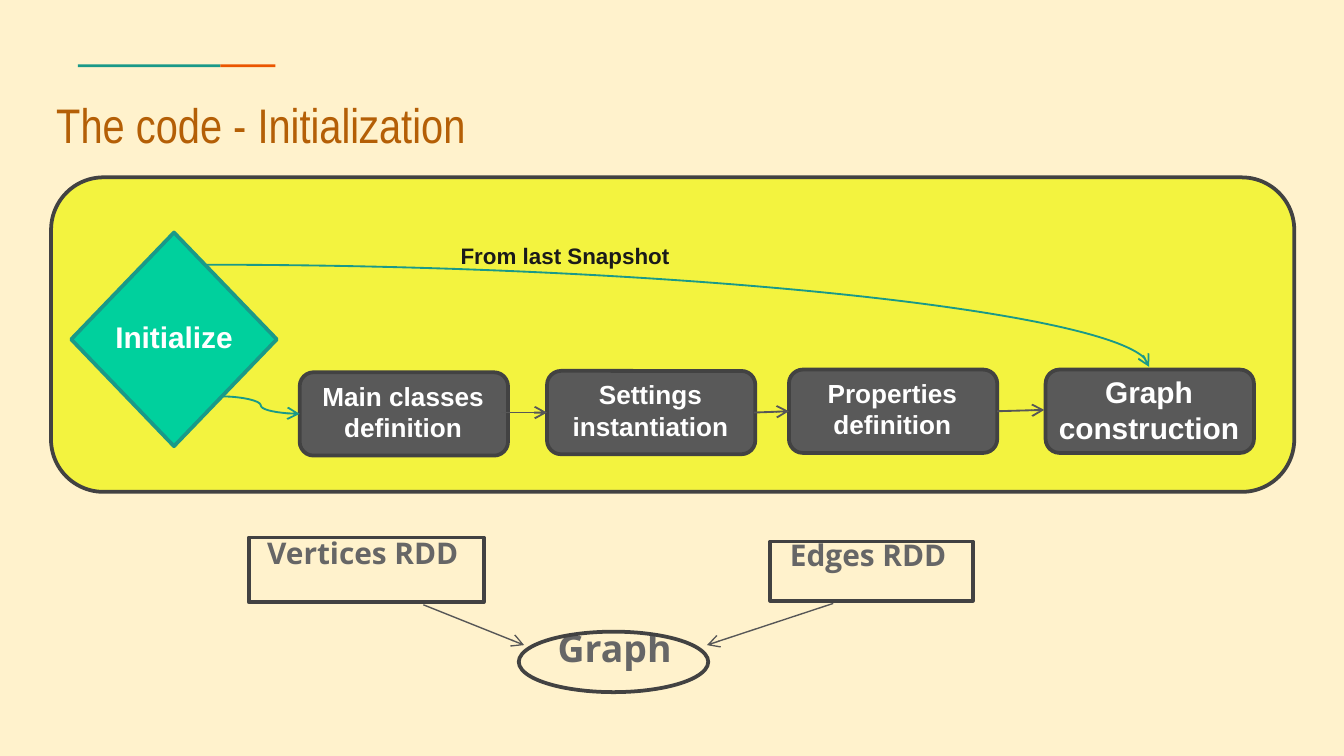
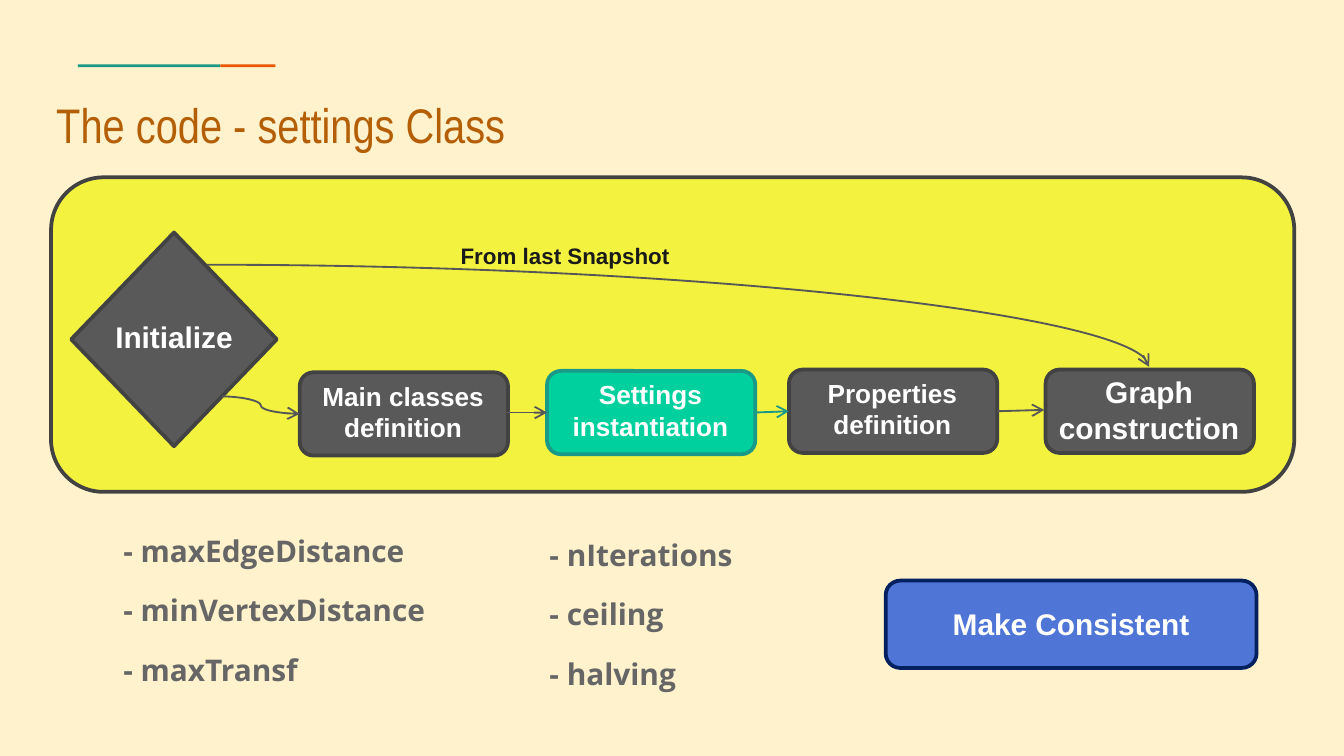
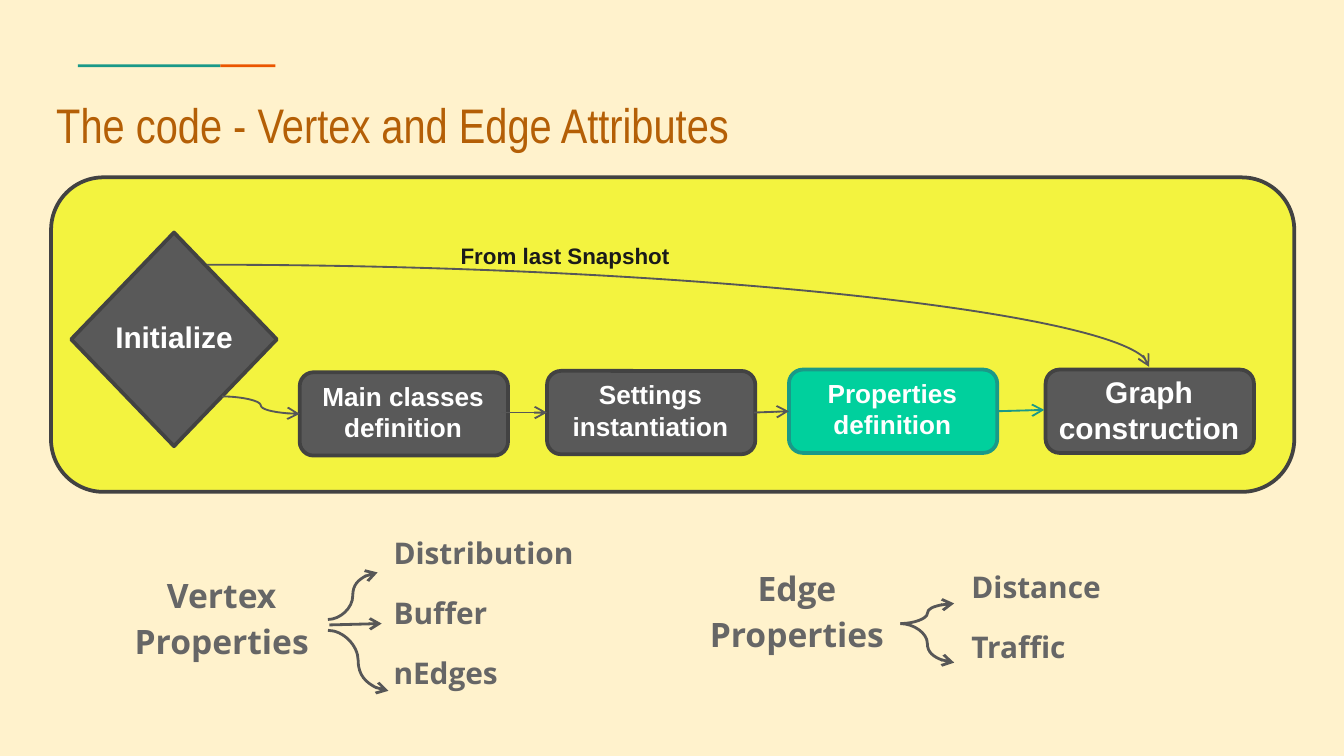
import pptx
import pptx.dml.color
import pptx.enum.shapes
import pptx.enum.text
import pptx.oxml.ns
import pptx.util
from lxml import etree

EMU_PER_PX = 9144  # 100 px to the inch
PAGE_WIDTH = 1000

COLORS = {
    "page": "FFF2CC", "title": "B45F06", "teal": "1A9988", "orange": "EB5600",
    "panel": "F3F33F", "outline": "424242", "step": "595959", "active": "00D09D",
    "arrow": "575757", "white": "FFFFFF", "label": "1A1A1A", "body": "666666",
    "blue": "4F75D6", "navy": "002060",
}
SHAPES = pptx.enum.shapes.MSO_SHAPE
CONNECTORS = pptx.enum.shapes.MSO_CONNECTOR
ANCHORS = pptx.enum.text.MSO_ANCHOR
ALIGNS = pptx.enum.text.PP_ALIGN

# Process steps: name, left, top, label width, label height, label size
STEP_WIDTH, STEP_HEIGHT = 155, 62
STEPS = [
    ("Main classes definition", 223, 277, 144, 57, 14),
    ("Settings instantiation", 407, 276, 144, 57, 14),
    ("Properties definition", 587, 275, 144, 57, 14),
    ("Graph construction", 778, 275, 156, 64, 16),
]
# Arrows between steps: source step, start, end, kind
FLOW = [
    ("Initialize", (165, 295), (223, 308), "curvedConnector3"),
    ("Main classes definition", (373, 307), (407, 307), None),
    ("Settings instantiation", (561, 307), (587, 306), None),
    ("Properties definition", (742, 306), (777, 305), None),
    ("Initialize", (154, 197), (855, 273), "curvedConnector2"),
]


def px(value):
    return pptx.util.Emu(value * EMU_PER_PX)


def rgb(name):
    return pptx.dml.color.RGBColor.from_string(COLORS[name])


class Painter:
    """Holds the deck, its style and the current page."""

    def __init__(self):
        self.deck = pptx.Presentation()
        self.deck.slide_width = px(PAGE_WIDTH)
        self.deck.slide_height = pptx.util.Emu(px(PAGE_WIDTH) * 9 // 16)
        self.page = None

    def new_page(self, title):
        self.page = self.deck.slides.add_slide(self.deck.slide_layouts[6])
        self.page.background.fill.solid()
        self.page.background.fill.fore_color.rgb = rgb("page")
        self.shape(SHAPES.RECTANGLE, (58, 48, 106, 2), fill="teal")
        self.shape(SHAPES.RECTANGLE, (164, 48, 41, 2), fill="orange")
        self.text(title, (32, 61, 841, 59), font="Arial Narrow", size=26,
                  color="title", bold=False, inset=10)

    def shape(self, kind, place, fill=None, line=None):
        box = self.page.shapes.add_shape(kind, *map(px, place))
        box.shadow.inherit = False
        if fill:
            box.fill.solid()
            box.fill.fore_color.rgb = rgb(fill)
        else:
            box.fill.background()
        if line:
            box.line.color.rgb = rgb(line)
            box.line.width = pptx.util.Pt(2)
        else:
            box.line.fill.background()

    def text(self, text, place, font="Arial", size=16, color="white", bold=True,
             align=None, anchor=ANCHORS.TOP, inset=5, spacing=None, before=0,
             grow=False):
        box = self.page.shapes.add_textbox(*map(px, place))
        frame = box.text_frame
        frame.word_wrap = True
        if grow:
            frame.auto_size = pptx.enum.text.MSO_AUTO_SIZE.SHAPE_TO_FIT_TEXT
        frame.vertical_anchor = anchor
        frame.margin_left = frame.margin_right = px(10)
        frame.margin_top = frame.margin_bottom = px(inset)
        for index, line in enumerate(text.split("\n")):
            para = frame.add_paragraph() if index else frame.paragraphs[0]
            para.alignment = align
            if spacing:
                para.line_spacing = spacing
            if index and before:
                para.space_before = pptx.util.Pt(before)
            span = para.add_run()
            span.text = line
            span.font.name = font
            span.font.size = pptx.util.Pt(size)
            span.font.bold = bold
            span.font.color.rgb = rgb(color)

    def body(self, text, place, **style):
        self.text(text, place, font="Open Sans", color="body", inset=10,
                  spacing=1.15, before=10, **style)

    def arrow(self, start, end, curve=None, color="arrow", width=1):
        kind = CONNECTORS.CURVE if curve else CONNECTORS.STRAIGHT
        line = self.page.shapes.add_connector(kind, *map(px, start + end))
        line.line.color.rgb = rgb(color)
        line.line.width = pptx.util.Pt(width)
        properties = line._element.spPr
        if curve:
            properties.find(pptx.oxml.ns.qn("a:prstGeom")).set("prst", curve)
        outline = properties.find(pptx.oxml.ns.qn("a:ln"))
        etree.SubElement(outline, pptx.oxml.ns.qn("a:tailEnd"), type="arrow")
        etree.SubElement(properties, pptx.oxml.ns.qn("a:effectLst"))

    def process(self, active):
        """Draw the process panel with one step and its arrows highlighted."""
        def step_colors(name):
            if name == active:
                return {"fill": "active", "line": "teal"}
            return {"fill": "step", "line": "outline"}

        self.shape(SHAPES.ROUNDED_RECTANGLE, (38, 132, 925, 234),
                   fill="panel", line="outline")
        self.shape(SHAPES.DIAMOND, (53, 173, 153, 159), **step_colors("Initialize"))
        self.text("Initialize", (76, 232, 110, 37), grow=True)
        for name, left, top, width, height, size in STEPS:
            self.shape(SHAPES.ROUNDED_RECTANGLE,
                       (left, top, STEP_WIDTH, STEP_HEIGHT), **step_colors(name))
            label = (left + (STEP_WIDTH - width) // 2,
                     top + (STEP_HEIGHT - height) // 2 - 1, width, height)
            self.text(name, label, size=size, align=ALIGNS.CENTER, grow=True)
        for source, start, end, curve in FLOW:
            self.arrow(start, end, curve, "teal" if source == active else "arrow")
        self.text("From last Snapshot", (280, 175, 281, 30), size=12,
                  color="label", align=ALIGNS.CENTER, grow=True)


def initialization(painter):
    painter.new_page("The code - Initialization")
    painter.process("Initialize")
    # Two RDDs feed the graph
    painter.body("Vertices RDD", (189, 384, 213, 69))
    painter.body("Edges RDD", (578, 385, 213, 69))
    painter.body("Graph", (405, 450, 115, 69), size=20)
    painter.arrow((315, 450), (390, 480), width=0.75)
    painter.arrow((620, 449), (526, 480), width=0.75)
    painter.shape(SHAPES.OVAL, (386, 470, 141, 45), line="outline")
    painter.shape(SHAPES.RECTANGLE, (185, 400, 175, 48), line="outline")
    painter.shape(SHAPES.RECTANGLE, (573, 403, 151, 44), line="outline")


def settings(painter):
    painter.new_page("The code - settings Class")
    painter.process("Settings instantiation")
    # Setting names
    painter.body("- maxEdgeDistance\n- minVertexDistance\n- maxTransf",
                 (82, 382, 303, 69))
    painter.body("- nIterations\n- ceiling\n- halving", (399, 385, 303, 69))
    # Consistency button
    painter.shape(SHAPES.ROUNDED_RECTANGLE, (659, 432, 276, 65),
                  fill="blue", line="navy")
    painter.text("Make Consistent", (699, 446, 212, 37), grow=True)


def attributes(painter):
    painter.new_page("The code - Vertex and Edge Attributes")
    painter.process("Properties definition")
    # Property groups and their members
    painter.body("Vertex Properties", (88, 423, 154, 69), size=18,
                 align=ALIGNS.CENTER, anchor=ANCHORS.MIDDLE)
    painter.body("Distribution\nBuffer\nnEdges", (283, 384, 303, 69))
    painter.body("Edge Properties", (516, 408, 154, 69), size=18,
                 align=ALIGNS.CENTER)
    painter.body("Distance\nTraffic", (713, 409, 303, 69))
    # Branches from each group
    curve = "curvedConnector3"
    for start, end, kind in [
        ((244, 461), (281, 426), curve),
        ((244, 469), (289, 514), curve),
        ((245, 465), (284, 464), None),
        ((670, 464), (710, 449), curve),
        ((670, 464), (710, 493), curve),
    ]:
        painter.arrow(start, end, kind, width=1.5)


def main():
    painter = Painter()
    for build in (initialization, settings, attributes):
        build(painter)
    painter.deck.save("out.pptx")


if __name__ == "__main__":
    main()
